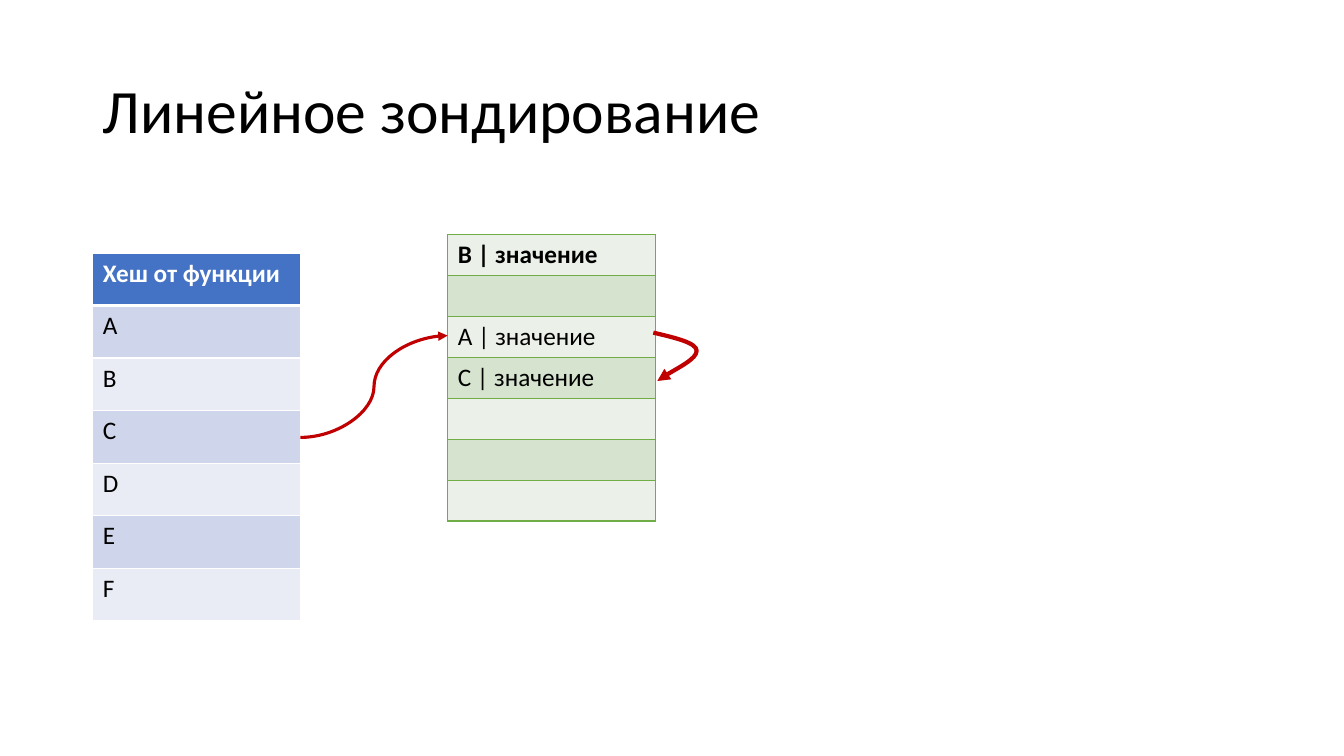
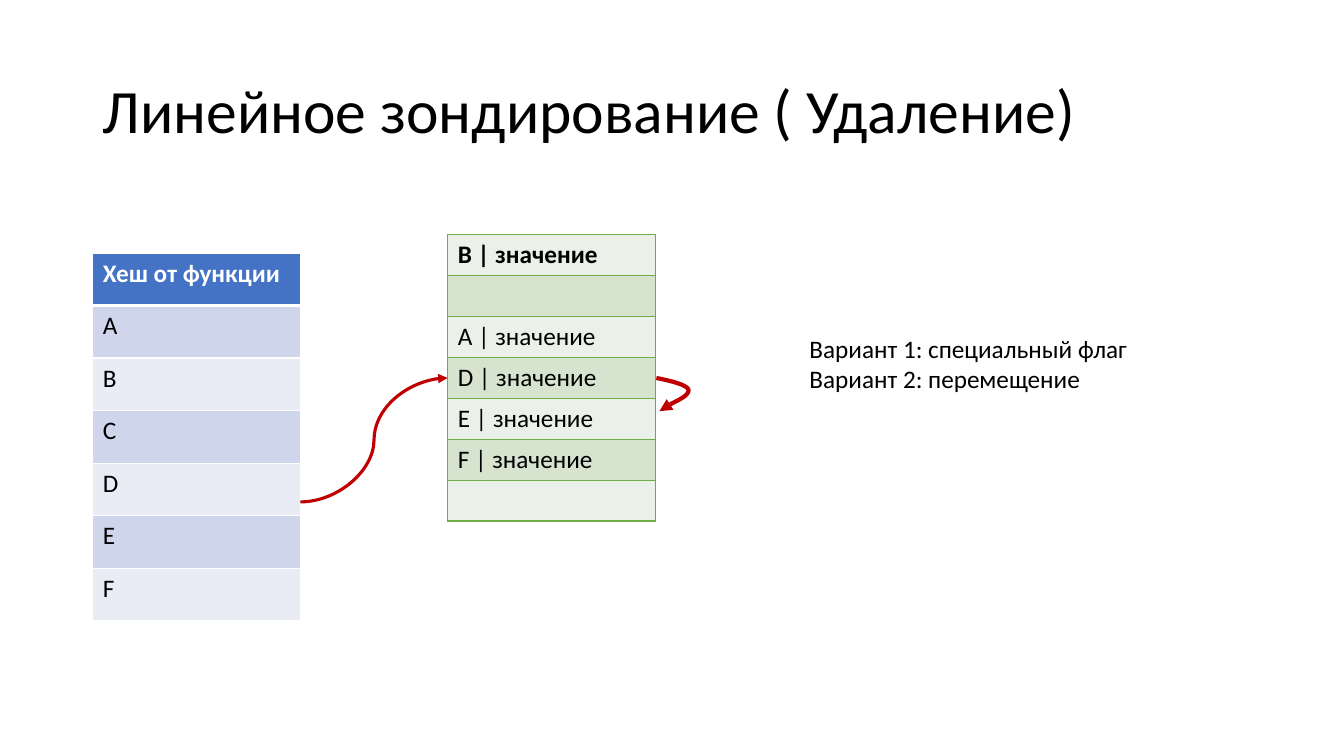
import pptx
import pptx.util
import pptx.dml.color
import pptx.enum.shapes
import pptx.enum.text
import pptx.oxml
import pptx.oxml.ns
from lxml import etree

RGB = pptx.dml.color.RGBColor
INCH = pptx.util.Inches
PT = pptx.util.Pt
QN = pptx.oxml.ns.qn

BLACK = RGB(0x00, 0x00, 0x00)
WHITE = RGB(0xFF, 0xFF, 0xFF)
BLUE = RGB(0x44, 0x72, 0xC4)
BLUES = (RGB(0xCF, 0xD5, 0xEA), RGB(0xE9, 0xEB, 0xF5))
GREEN = RGB(0x70, 0xAD, 0x47)
GREENS = (RGB(0xEB, 0xF1, 0xE9), RGB(0xD5, 0xE3, 0xCF))
RED = RGB(0xC0, 0x00, 0x00)
FONT = "Calibri"

WIDE, HIGH = 13.33, 7.5
LEFT, COL = 0.92, 2.06
KEYS = ["Хеш от функции", "A", "B", "C", "D", "E", "F"]
KEY_TOP, KEY_ROW = 2.51, 3.65 / 7
SLOT_LEFT, SLOT_TOP, SLOT_ROW = 4.44, 2.33, 2.84 / 7

SLIDES = [
    {
        "title": "Линейное зондирование",
        "slots": ["B", "", "A", "C", "", "", ""],
        "link": (4.34, 3.33),
        "hop": [(6.48, 3.3), (6.69, 3.35), (6.91, 3.4), (6.91, 3.48),
                (6.91, 3.56), (6.56, 3.74), (6.52, 3.78)],
        "notes": [],
    },
    {
        "title": "Линейное зондирование ( Удаление)",
        "slots": ["B", "", "A", "D", "E", "F", ""],
        "link": (4.98, 3.75),
        "hop": [(6.51, 3.75), (6.66, 3.78), (6.82, 3.82), (6.83, 3.87),
                (6.83, 3.93), (6.56, 4.05), (6.54, 4.08)],
        "notes": ["Вариант 1: специальный флаг", "Вариант 2: перемещение"],
    },
]


def style(par, size=18, color=BLACK, bold=False):
    for run in par.runs:
        run.font.name = FONT
        run.font.size = PT(size)
        run.font.color.rgb = color
        run.font.bold = bold


def edge(cell, side, color, width):
    line = etree.SubElement(cell._tc.get_or_add_tcPr(), QN("a:ln" + side),
                            w=str(PT(width)))
    fill = etree.SubElement(line, QN("a:solidFill"))
    etree.SubElement(fill, QN("a:srgbClr"), val=str(color))


def add_grid(slide, left, top, row, texts, fills, inks, border, rule):
    frame = slide.shapes.add_table(len(texts), 1, INCH(left), INCH(top),
                                   INCH(COL), INCH(row * len(texts)))
    table = frame.table
    for i, text in enumerate(texts):
        table.rows[i].height = INCH(row)
        cell = table.cell(i, 0)
        for side in "LRTB":
            thick = (side == "B" and i == 0) or (side == "T" and i == 1)
            edge(cell, side, border, rule if thick else 1)
        cell.fill.solid()
        cell.fill.fore_color.rgb = fills[i]
        par = cell.text_frame.paragraphs[0]
        par.font.size = PT(18)
        if text:
            par.text = text
            style(par, color=inks[i], bold=i == 0)


def arrow(shape, width):
    shape.line.color.rgb = RED
    shape.line.width = PT(width)
    etree.SubElement(shape.line._get_or_add_ln(), QN("a:tailEnd"),
                     type="triangle")


def add_link(slide, start, end):
    link = slide.shapes.add_connector(
        pptx.enum.shapes.MSO_CONNECTOR.CURVE, INCH(LEFT + COL), INCH(start),
        INCH(SLOT_LEFT), INCH(end))
    arrow(link, 2.25)
    etree.SubElement(link._element.spPr, QN("a:effectLst"))


def add_hop(slide, points):
    spots = [(INCH(x), INCH(y)) for x, y in points]
    draft = slide.shapes.build_freeform(*spots[0])
    draft.add_line_segments(spots[1:], close=False)
    hop = draft.convert_to_shape()
    hop.shadow.inherit = False
    hop.fill.background()
    arrow(hop, 3)
    route = next(hop._element.iter(QN("a:path")))
    steps = route.findall(QN("a:lnTo"))
    for i in range(0, len(steps), 3):
        curve = etree.SubElement(route, QN("a:cubicBezTo"))
        for step in steps[i:i + 3]:
            curve.append(step[0])
            route.remove(step)


def add_title(slide, text):
    title = slide.shapes.title
    title.left, title.top = INCH(LEFT), INCH(0.4)
    title.width, title.height = INCH(11.5), INCH(1.45)
    frame = title.text_frame
    frame.text = text
    frame.word_wrap = True
    frame.auto_size = pptx.enum.text.MSO_AUTO_SIZE.NONE
    frame.vertical_anchor = pptx.enum.text.MSO_ANCHOR.MIDDLE
    par = frame.paragraphs[0]
    par.alignment = pptx.enum.text.PP_ALIGN.LEFT
    par.line_spacing = 0.9
    style(par, 44)


def add_notes(slide, lines):
    box = slide.shapes.add_textbox(INCH(7.93), INCH(3.26), INCH(3.39),
                                   INCH(0.71))
    frame = box.text_frame
    frame.word_wrap = False
    frame.auto_size = pptx.enum.text.MSO_AUTO_SIZE.SHAPE_TO_FIT_TEXT
    frame.text = "\n".join(lines)
    for par in frame.paragraphs:
        style(par)


def main():
    deck = pptx.Presentation()
    deck.slide_width, deck.slide_height = INCH(WIDE), INCH(HIGH)
    count = len(KEYS)
    for page in SLIDES:
        slide = deck.slides.add_slide(deck.slide_layouts[5])
        add_title(slide, page["title"])
        add_grid(slide, LEFT, KEY_TOP, KEY_ROW, KEYS,
                 [BLUE] + [BLUES[i % 2] for i in range(count - 1)],
                 [WHITE] + [BLACK] * (count - 1), WHITE, 3)
        slots = [key and key + " | значение" for key in page["slots"]]
        add_grid(slide, SLOT_LEFT, SLOT_TOP, SLOT_ROW, slots,
                 [GREENS[i % 2] for i in range(count)],
                 [BLACK] * count, GREEN, 1)
        add_link(slide, *page["link"])
        add_hop(slide, page["hop"])
        if page["notes"]:
            add_notes(slide, page["notes"])
    deck.save("out.pptx")


if __name__ == "__main__":
    main()
